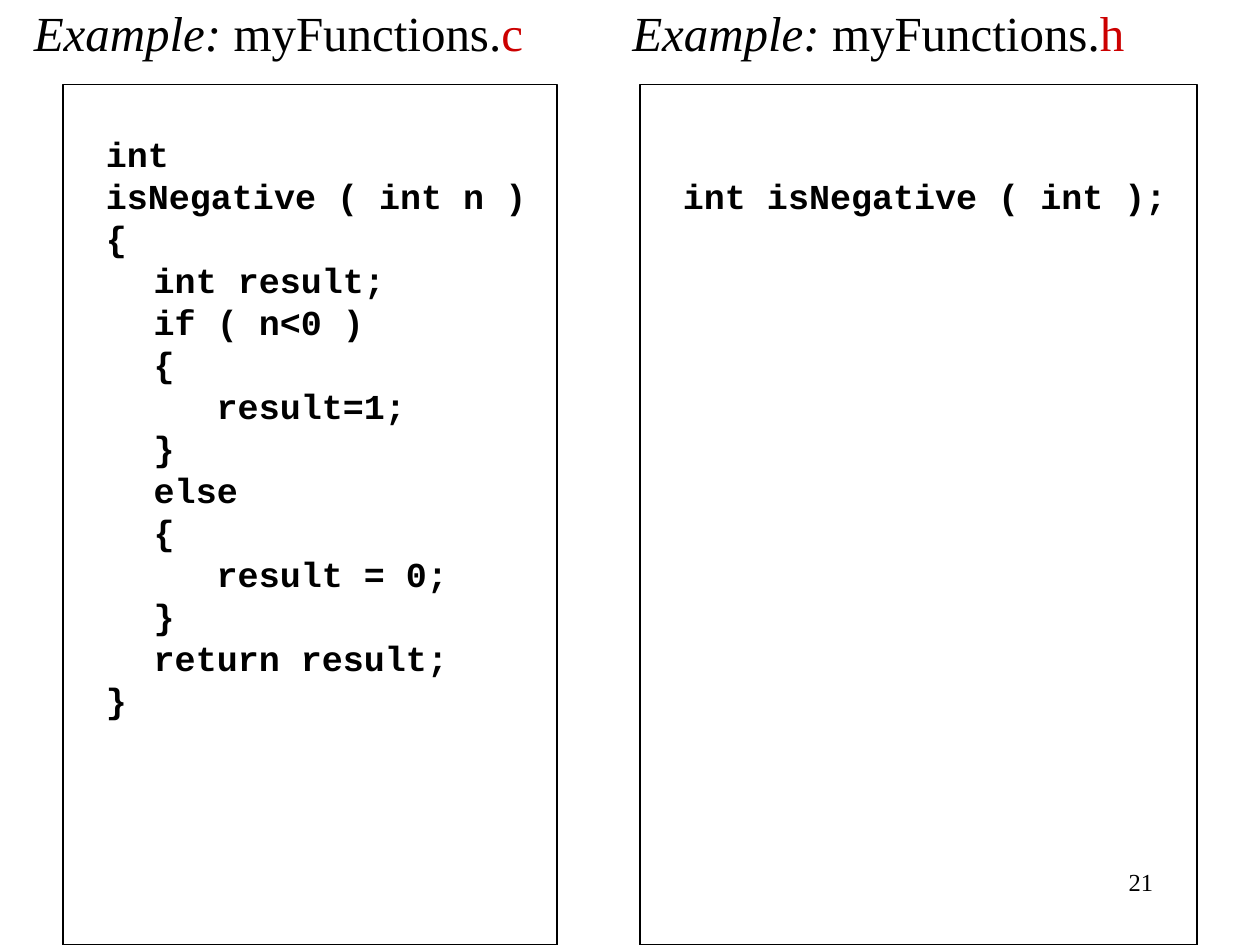
from pptx import Presentation
from pptx.dml.color import RGBColor
from pptx.enum.shapes import MSO_SHAPE
from pptx.enum.text import MSO_ANCHOR, PP_ALIGN
from pptx.oxml.ns import qn
from pptx.util import Inches, Pt
from lxml import etree

RECT = MSO_SHAPE.RECTANGLE
TOP, MIDDLE = MSO_ANCHOR.TOP, MSO_ANCHOR.MIDDLE
LEFT, RIGHT = PP_ALIGN.LEFT, PP_ALIGN.RIGHT
SERIF, MONO = "Times New Roman", "Courier New"
BLACK, RED = "000000", "CC0000"

SOURCE_CODE = """int
isNegative ( int n )
{
\tint result;
\tif ( n<0 )
\t{
\t\tresult=1;
\t}
\telse
\t{
\t\tresult = 0;
\t}
\treturn result;
}"""
HEADER_CODE = "int isNegative ( int );"

FILES = [
    dict(ext="c", title_x=0.17, box_x=0.5, box_w=3.92, code=SOURCE_CODE, skip=1),
    dict(ext="h", title_x=4.92, box_x=5.08, box_w=4.42, code=HEADER_CODE, skip=2),
]
BOX_TOP, BOX_H = 0.67, 6.83
LINE_H = 1 / 3
CODE_INDENT = 0.38


def rgb(value):
    return RGBColor.from_string(value)


def set_frame(sp, anchor=TOP, insets=(0.1, 0.05, 0.1, 0.05)):
    tf = sp.text_frame
    tf.word_wrap = True
    tf.vertical_anchor = anchor
    tf.margin_left, tf.margin_top, tf.margin_right, tf.margin_bottom = map(Inches, insets)
    return tf


def add_text(p, text, size=28, font=SERIF, color=BLACK, bold=False, italic=False, align=LEFT):
    p.alignment = align
    r = p.add_run()
    r.text = text
    r.font.size, r.font.name = Pt(size), font
    r.font.bold, r.font.italic = bold, italic
    r.font.color.rgb = rgb(color)


def set_code_tabs(p):
    pPr = p._p.get_or_add_pPr()
    pPr.set("marL", str(Inches(CODE_INDENT)))
    pPr.set("indent", str(-Inches(CODE_INDENT)))
    tabs = etree.SubElement(pPr, qn("a:tabLst"))
    for inch in range(8):
        etree.SubElement(tabs, qn("a:tab"), pos=str(Inches(inch)), algn="l")


def add_title(s, x, ext):
    sp = s.shapes.add_textbox(Inches(x), 0, Inches(4.25), Inches(0.5))
    p = set_frame(sp, MIDDLE).paragraphs[0]
    add_text(p, "Example: ", italic=True)
    add_text(p, "myFunctions.")
    add_text(p, ext, color=RED)


def add_code_box(s, x, w, code, skip):
    sp = s.shapes.add_shape(RECT, Inches(x), Inches(BOX_TOP), Inches(w), Inches(BOX_H))
    sp.shadow.inherit = False
    sp.fill.background()
    sp.line.color.rgb = rgb(BLACK)
    sp.line.width = Pt(0.75)
    tf = set_frame(sp, insets=(0.34, 0.05 + skip * LINE_H, 0.04, 0.05))
    for i, line in enumerate(code.split("\n")):
        p = tf.add_paragraph() if i else tf.paragraphs[0]
        set_code_tabs(p)
        add_text(p, line, size=20, font=MONO, bold=True)
        p.line_spacing = Pt(LINE_H * 72)


prs = Presentation()
prs.slide_width, prs.slide_height = Inches(10), Inches(7.5)
s = prs.slides.add_slide(prs.slide_layouts[6])

for f in FILES:
    add_title(s, f["title_x"], f["ext"])
    add_code_box(s, f["box_x"], f["box_w"], f["code"], f["skip"])

sp = s.shapes.add_textbox(Inches(7.17), Inches(6.83), Inches(2.08), Inches(0.5))
add_text(set_frame(sp).paragraphs[0], "21", size=14, align=RIGHT)

prs.save("out.pptx")
